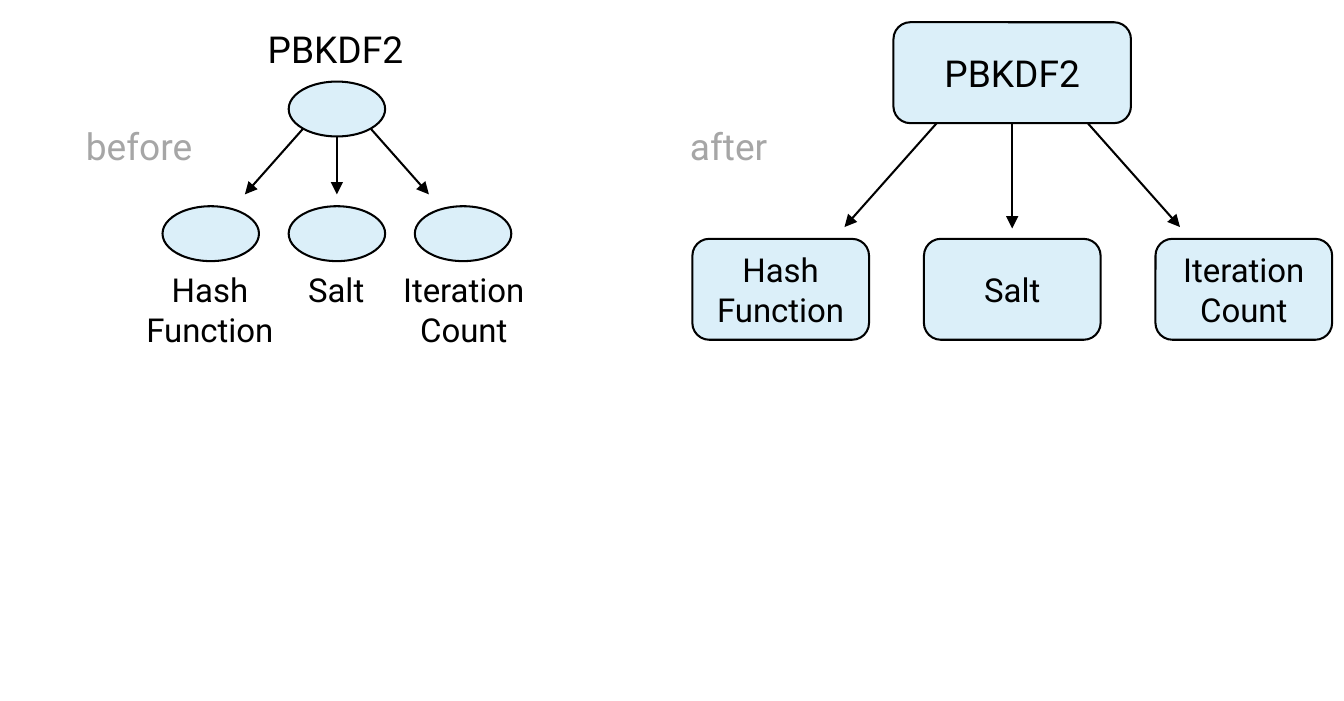
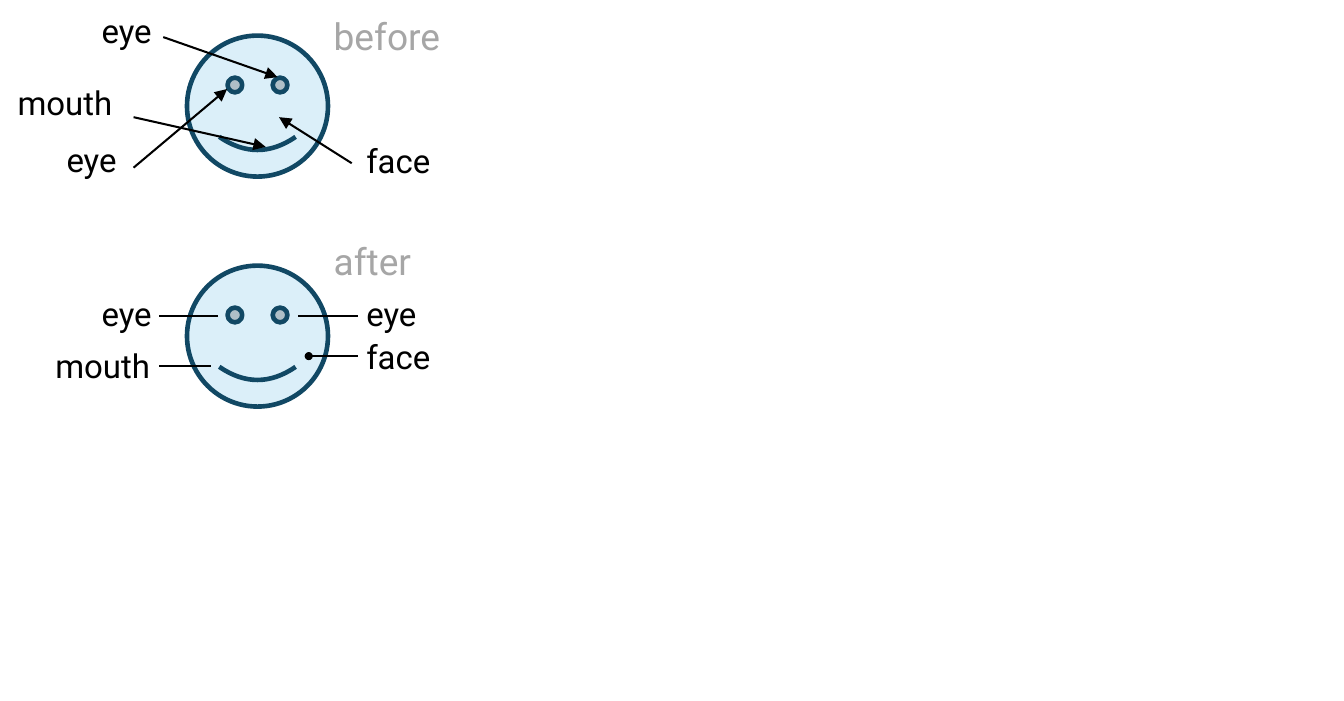
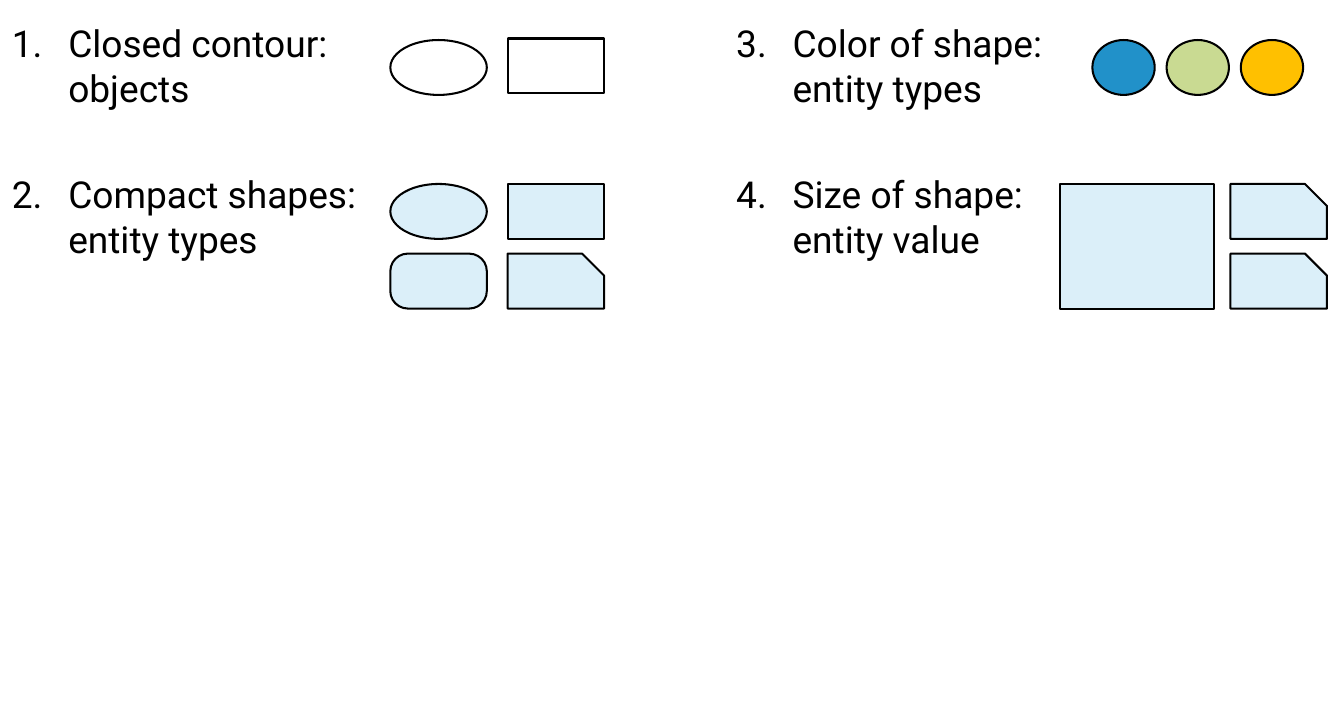
"""Build three slides on drawing diagrams: a tree, a labelled face and a list of shape rules."""
from copy import deepcopy
from dataclasses import dataclass
from typing import Optional, Union

from lxml.etree import SubElement
from pptx import Presentation
from pptx.dml.color import RGBColor
from pptx.enum.shapes import MSO_CONNECTOR, MSO_SHAPE as Kind
from pptx.enum.text import MSO_ANCHOR as Anchor, MSO_AUTO_SIZE as Fit, PP_ALIGN as Align
from pptx.oxml.ns import qn
from pptx.shapes.autoshape import Shape
from pptx.shapes.shapetree import GroupShapes, SlideShapes
from pptx.text.text import TextFrame
from pptx.util import Inches, Pt

BLACK = RGBColor(0x00, 0x00, 0x00)
GREY = RGBColor(0xA6, 0xA6, 0xA6)
PALE = RGBColor(0xDB, 0xEF, 0xF9)
NAVY = RGBColor(0x11, 0x48, 0x64)
BLUE = RGBColor(0x21, 0x91, 0xC9)
GREEN = RGBColor(0xC9, 0xDA, 0x92)
GOLD = RGBColor(0xFF, 0xC0, 0x00)
FONT = "Roboto"
SMALL, LARGE = 16, 18
WIDE, HIGH = Inches(23 / 2.54), Inches(12 / 2.54)
PARTS = ("Hash\nFunction", "Salt", "Iteration\nCount")

Tree = Union[SlideShapes, GroupShapes]


@dataclass(frozen=True)
class Box:
    """A preset shape with its place and look."""
    kind: Kind
    x: float
    y: float
    w: float = 0.65
    h: float = 0.37
    fill: Optional[RGBColor] = PALE
    bend: Optional[float] = None
    line: RGBColor = BLACK
    width: float = 1


@dataclass(frozen=True)
class Note:
    """A free label."""
    words: str
    x: float
    y: float
    w: float
    align: Align = Align.LEFT
    size: int = SMALL
    color: RGBColor = BLACK


@dataclass(frozen=True)
class Arrow:
    """A straight line with an optional tip."""
    x: float
    y: float
    to_x: float
    to_y: float
    tip: Optional[str] = "triangle"
    scale: str = "med"


@dataclass(frozen=True)
class Plan:
    """Measures of a root with three children."""
    mid: float
    step: float
    kind: Kind
    root: tuple[float, float, float]
    leaf: tuple[float, float, float]
    start: tuple[float, float]
    stop: tuple[float, float]
    stem: tuple[float, float]


def write(frame: TextFrame, *items: str, size: int = SMALL, color: RGBColor = BLACK,
          align: Align = Align.LEFT, anchor: Anchor = Anchor.TOP,
          wrap: bool = False, after: int = 0) -> None:
    """Fill a frame with one formatted paragraph per item."""
    frame.word_wrap = wrap
    frame.auto_size = Fit.NONE if wrap else Fit.SHAPE_TO_FIT_TEXT
    frame.vertical_anchor = anchor
    for spot, item in enumerate(items):
        para = frame.add_paragraph() if spot else frame.paragraphs[0]
        para.text = item
        para.alignment = align
        para.space_before, para.space_after = Pt(0), Pt(after)
        for run in para.runs:
            run.font.name, run.font.size = FONT, Pt(size)
            run.font.color.rgb = color
        look = para.runs[0].font._element
        for gap in para._p.findall(qn("a:br")):
            gap.append(deepcopy(look))


def draw(tree: Tree, box: Box) -> Shape:
    """Draw a preset shape."""
    shape = tree.add_shape(box.kind, *map(Inches, (box.x, box.y, box.w, box.h)))
    shape.shadow.inherit = False
    if box.fill is None:
        shape.fill.background()
    else:
        shape.fill.solid()
        shape.fill.fore_color.rgb = box.fill
    shape.line.color.rgb = box.line
    shape.line.width = Pt(box.width)
    if box.bend is not None:
        shape.adjustments[0] = box.bend
    return shape


def label(tree: Tree, note: Note) -> None:
    """Place a label as high as its lines need."""
    tall = 0.4 if note.size == LARGE else 0.37 + 0.27 * note.words.count("\n")
    box = tree.add_textbox(*map(Inches, (note.x, note.y, note.w, tall)))
    write(box.text_frame, note.words, size=note.size, color=note.color, align=note.align)


def link(tree: Tree, arrow: Arrow) -> None:
    """Draw a line or an arrow."""
    ends = map(Inches, (arrow.x, arrow.y, arrow.to_x, arrow.to_y))
    line = tree.add_connector(MSO_CONNECTOR.STRAIGHT, *ends)
    line.line.color.rgb = BLACK
    line.line.width = Pt(1)
    props = line.element.spPr
    if arrow.tip:
        SubElement(props.find(qn("a:ln")), qn("a:tailEnd"), type=arrow.tip,
                   w=arrow.scale, len=arrow.scale)
    SubElement(props, qn("a:effectLst"))


def stage(tree: Tree, *spots: tuple[float, float]) -> None:
    """Mark the before and after parts."""
    for (x, y), words, w in zip(spots, ("before", "after"), (0.93, 0.73)):
        label(tree, Note(words, x, y, w, size=LARGE, color=GREY))


def branch(tree: Tree, plan: Plan) -> list[Shape]:
    """Draw a root, its arrows and its children, and return the nodes."""
    def node(mid: float, size: tuple[float, float, float]) -> Shape:
        """Draw a node about its middle."""
        y, w, h = size
        return draw(tree, Box(plan.kind, mid - w / 2, y, w, h))

    for side in (-1, 1):
        (out, y), (far, to_y) = plan.start, plan.stop
        link(tree, Arrow(plan.mid + side * out, y, plan.mid + side * far, to_y))
    link(tree, Arrow(plan.mid, plan.stem[0], plan.mid, plan.stem[1]))
    leaves = [node(plan.mid + side * plan.step, plan.leaf) for side in (-1, 0, 1)]
    return [node(plan.mid, plan.root), *leaves]


def trees(tree: SlideShapes) -> None:
    """Show a tree with labels outside and inside its nodes."""
    old = Plan(2.27, 0.85, Kind.OVAL, (0.55, 0.65, 0.37), (1.39, 0.65, 0.37),
               (0.23, 0.87), (0.62, 1.31), (0.92, 1.31))
    new = Plan(6.82, 1.56, Kind.ROUNDED_RECTANGLE, (0.15, 1.6, 0.68), (1.61, 1.19, 0.68),
               (0.42, 0.73), (1.13, 1.53), (0.83, 1.54))
    group = tree.add_group_shape().shapes
    branch(group, old)
    label(group, Note("PBKDF2", 1.7, 0.13, 1.12, Align.CENTER, LARGE))
    for words, x, w in zip(PARTS, (0.88, 1.97, 2.61), (1.07, 0.59, 1.03)):
        label(group, Note(words, x, 1.77, w, Align.CENTER))
    for spot, (shape, words) in enumerate(zip(branch(tree, new), ("PBKDF2", *PARTS))):
        write(shape.text_frame, words, size=SMALL if spot else LARGE, align=Align.CENTER,
              anchor=Anchor.MIDDLE, wrap=True)
    stage(tree, (0.48, 0.78), (4.55, 0.78))


def faces(tree: SlideShapes) -> None:
    """Show a face with messy and with tidy labels."""
    for y in (0.24, 1.79):
        draw(tree, Box(Kind.SMILEY_FACE, 1.26, y, 0.95, 0.95, line=NAVY, width=2.25))
    for arrow in (
        Arrow(0.9, 1.13, 1.53, 0.6),
        Arrow(1.1, 0.25, 1.87, 0.52),
        Arrow(0.9, 0.79, 1.79, 0.99),
        Arrow(2.37, 1.1, 1.88, 0.79),
        Arrow(2.41, 2.4, 2.08, 2.4, "oval", "sm"),
        Arrow(1.47, 2.13, 1.07, 2.13, None),
        Arrow(1.42, 2.47, 1.07, 2.47, None),
        Arrow(2.41, 2.13, 2.01, 2.13, None),
    ):
        link(tree, arrow)
    for note in (
        Note("eye", 0.57, 0.02, 0.55, Align.RIGHT),
        Note("mouth", 0.02, 0.51, 0.85),
        Note("eye", 0.35, 0.89, 0.55),
        Note("face", 2.37, 0.9, 0.64),
        Note("eye", 0.57, 1.93, 0.55, Align.RIGHT),
        Note("mouth", 0.26, 2.28, 0.85, Align.RIGHT),
        Note("eye", 2.37, 1.93, 0.55),
        Note("face", 2.37, 2.22, 0.64),
    ):
        label(tree, note)
    stage(tree, (2.15, 0.04), (2.15, 1.56))


def count(body: Shape, x: float, w: float, first: int, *items: str) -> None:
    """Turn a body placeholder into a numbered list."""
    body.left, body.top, body.width, body.height = map(Inches, (x, 0.09, w, 1.73))
    write(body.text_frame, *items, size=LARGE, after=30)
    for para in body.text_frame.paragraphs:
        props = para._p.get_or_add_pPr()
        props.set("marL", str(Inches(0.38)))
        props.set("indent", str(-Inches(0.38)))
        SubElement(props, qn("a:buFont"), typeface=FONT)
        SubElement(props, qn("a:buAutoNum"), type="arabicPeriod", startAt=str(first))


def rules(tree: SlideShapes) -> None:
    """List what the outline, colour and size of a shape mean."""
    title, left, right = tree.placeholders
    title.element.getparent().remove(title.element)
    count(left, -0.02, 2.54, 1, "Closed contour:\nobjects", "Compact shapes:\nentity types")
    count(right, 4.86, 2.28, 3, "Color of shape:\nentity types", "Size of shape:\nentity value")
    top, high, low = 0.27, 1.24, 1.71
    near, far, edge = 2.63, 3.42, 8.29
    snip = Kind.SNIP_1_RECTANGLE
    for box in (
        Box(Kind.OVAL, near, top, fill=None),
        Box(Kind.RECTANGLE, far, 0.26, fill=None),
        Box(Kind.OVAL, near, high),
        Box(Kind.RECTANGLE, far, high),
        Box(Kind.ROUNDED_RECTANGLE, near, low, bend=0.32),
        Box(snip, far, low, bend=0.4),
        Box(Kind.RECTANGLE, 7.14, high, 1.04, 0.84),
        Box(snip, edge, high, bend=0.4),
        Box(snip, edge, low, bend=0.4),
    ):
        draw(tree, box)
    for spot, fill in enumerate((BLUE, GREEN, GOLD)):
        draw(tree, Box(Kind.OVAL, 7.36 + 0.5 * spot, top, 0.42, fill=fill))


def main() -> None:
    """Build and save the deck."""
    deck = Presentation()
    deck.slide_width, deck.slide_height = WIDE, HIGH
    blank, lists = deck.slide_layouts[6], deck.slide_layouts[3]
    for layout, build in ((blank, trees), (blank, faces), (lists, rules)):
        build(deck.slides.add_slide(layout).shapes)
    deck.save("out.pptx")


if __name__ == "__main__":
    main()
